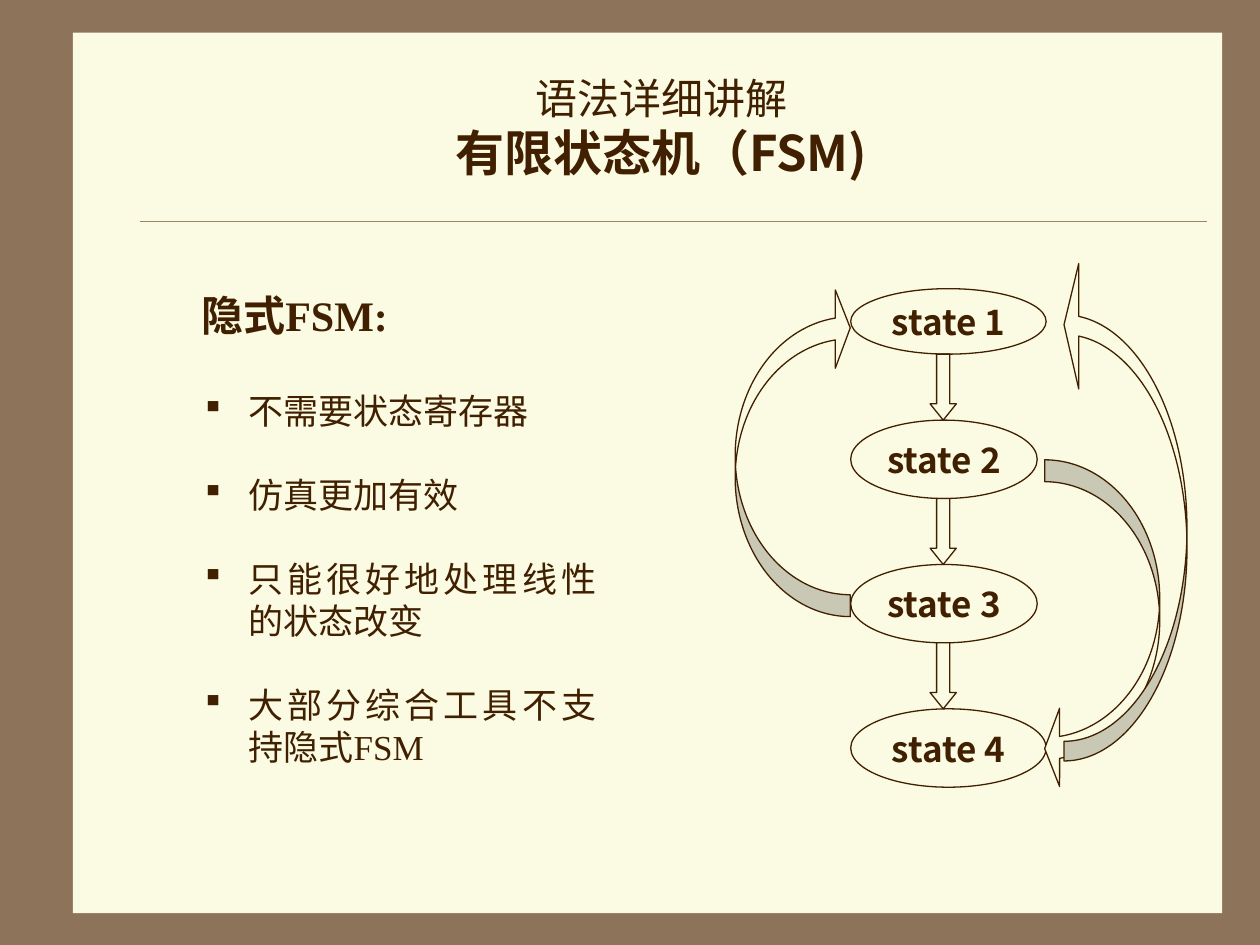
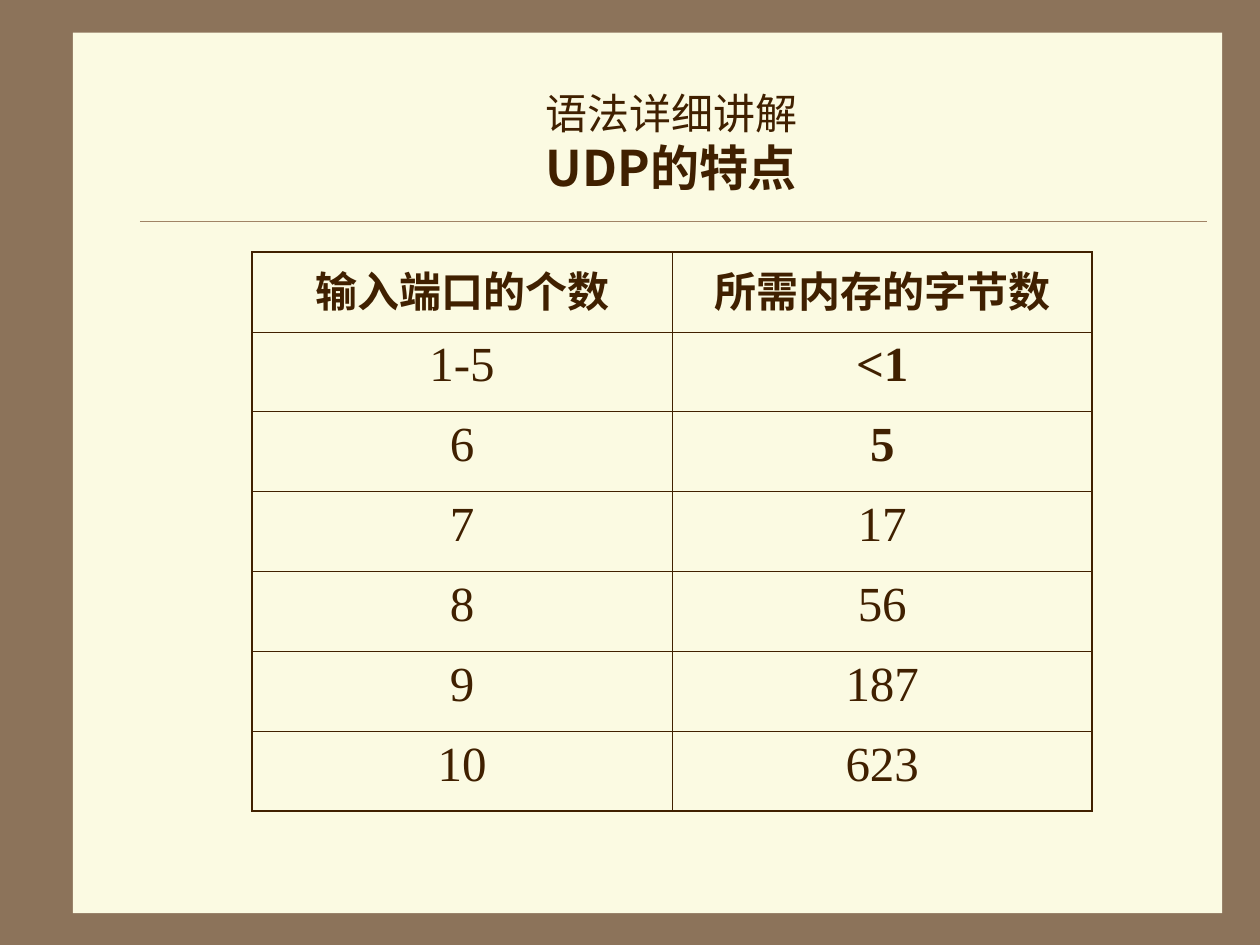
from lxml.etree import SubElement
from pptx import Presentation
from pptx.dml.color import RGBColor
from pptx.enum.shapes import MSO_CONNECTOR as Connector, MSO_SHAPE as Shape
from pptx.enum.text import MSO_ANCHOR as Anchor, PP_ALIGN as Align
from pptx.oxml.ns import qn
from pptx.util import Cm, Pt


def color(value):
    return RGBColor.from_string(value)


class Deck:
    frame, paper, ink, rule = "8C735A", "FBFAE2", "402000", "A08366"
    sans, serif = "Noto Sans CJK SC", "Times New Roman"

    def __init__(self):
        self.prs = Presentation()
        self.prs.slide_width, self.prs.slide_height = Cm(25.4), Cm(19.05)
        self.slide = None

    def new_slide(self):
        self.slide = self.prs.slides.add_slide(self.prs.slide_layouts[6])
        background = self.slide.background.fill
        background.solid()
        background.fore_color.rgb = color(self.frame)
        self.shape(Shape.RECTANGLE, 1.47, 0.66, 23.17, 17.75, outlined=False)
        divider = self.slide.shapes.add_connector(
            Connector.STRAIGHT, Cm(2.82), Cm(4.45), Cm(24.33), Cm(4.45))
        divider.line.color.rgb = color(self.rule)
        divider.line.width = Pt(0.25)
        SubElement(divider._element.spPr, qn("a:effectLst"))

    def fill(self, shape):
        shape.fill.solid()
        shape.fill.fore_color.rgb = color(self.paper)

    def style(self, font, name, size, bold=False):
        font.name, font.size, font.bold = name, Pt(size), bold
        font.color.rgb = color(self.ink)

    def shape(self, kind, left, top, width, height, adjustments=(), rotation=0, outlined=True):
        shape = self.slide.shapes.add_shape(kind, Cm(left), Cm(top), Cm(width), Cm(height))
        shape.shadow.inherit = False
        shape.rotation = rotation
        for index, value in enumerate(adjustments):
            shape.adjustments[index] = value
        self.fill(shape)
        if outlined:
            shape.line.color.rgb = color(self.ink)
            shape.line.width = Pt(0.75)
        else:
            shape.line.fill.background()
        return shape

    def state(self, label, left, top, width, height):
        oval = self.shape(Shape.OVAL, left, top, width, height)
        oval.text_frame.word_wrap = False
        oval.text_frame.vertical_anchor = Anchor.MIDDLE
        paragraph = oval.text_frame.paragraphs[0]
        paragraph.text = label
        paragraph.alignment = Align.CENTER
        self.style(paragraph.runs[0].font, self.sans, 20, True)

    def text_box(self, left, top, width, height):
        box = self.slide.shapes.add_textbox(Cm(left), Cm(top), Cm(width), Cm(height))
        self.fill(box)
        box.text_frame.word_wrap = True
        return box.text_frame

    def title(self, topic, left, top, width, height):
        frame = self.text_box(left, top, width, height)
        frame.vertical_anchor = Anchor.MIDDLE
        paragraph = frame.paragraphs[0]
        paragraph.text = f"语法详细讲解\v{topic}"
        paragraph.alignment = Align.CENTER
        section, subject = paragraph.runs
        self.style(section.font, self.sans, 24)
        self.style(subject.font, self.sans, 28, True)

    def bullet_list(self, heading, points, left, top, width, height):
        frame = self.text_box(left, top, width, height)
        frame.text = "\n".join([heading, *points])
        for index, paragraph in enumerate(frame.paragraphs):
            paragraph.alignment = Align.JUSTIFY
            if index:
                paragraph.space_before = Pt(28 if index == 1 else 24)
                self.bullet(paragraph)
            self.style(paragraph.runs[0].font, self.serif, 20 if index else 24, not index)

    def bullet(self, paragraph):
        props = paragraph._p.get_or_add_pPr()
        props.set("marL", str(Cm(0.95)))
        props.set("indent", str(-Cm(0.95)))
        tint = SubElement(props, qn("a:buClr"))
        SubElement(tint, qn("a:srgbClr"), val=self.ink)
        SubElement(props, qn("a:buSzPct"), val="90000")
        SubElement(props, qn("a:buChar"), char="▪")

    def table(self, rows, bold_cells, left, top, column_width, row_height):
        row_count, column_count = len(rows), len(rows[0])
        table = self.slide.shapes.add_table(
            row_count, column_count, Cm(left), Cm(top),
            Cm(column_width * column_count), Cm(row_height * row_count)).table
        table.horz_banding = table.first_row = False
        for row in table.rows:
            row.height = Cm(row_height)
        for r, values in enumerate(rows):
            for c, value in enumerate(values):
                cell = table.cell(r, c)
                paragraph = cell.text_frame.paragraphs[0]
                paragraph.text = value
                paragraph.alignment = Align.CENTER
                self.style(paragraph.runs[0].font, self.serif, 28 if r else 24,
                           r == 0 or value in bold_cells)
                self.borders(cell, lnL=c == 0, lnR=c == column_count - 1,
                             lnT=r == 0, lnB=r == row_count - 1)
                cell.fill.background()

    def borders(self, cell, **outer_sides):
        props = cell._tc.get_or_add_tcPr()
        for side, outer in outer_sides.items():
            border = SubElement(props, qn(f"a:{side}"), w=str(Pt(1.08 if outer else 0.45)))
            solid = SubElement(border, qn("a:solidFill"))
            SubElement(solid, qn("a:srgbClr"), val=self.ink)


def implicit_fsm(deck):
    deck.new_slide()
    deck.title("有限状态机（FSM)", 2.54, 1.07, 21.59, 2.97)
    points = ["不需要状态寄存器", "仿真更加有效", "只能很好地处理线性的状态改变",
              "大部分综合工具不支持隐式FSM"]
    deck.bullet_list("隐式FSM:", points, 3.81, 5.72, 8.46, 11)

    state_sizes = [(3.94, 1.32), (3.76, 1.58), (3.76, 1.58), (3.94, 1.58)]
    step = 1.33
    top = 5.82
    step_tops = []
    for number, (width, height) in enumerate(state_sizes, 1):
        deck.state(f"state {number}", 17.15, top, width, height)
        step_tops.append(top + height)
        top += height + step

    jump = (0.19, 0.68, 0.13)
    deck.shape(Shape.CURVED_LEFT_ARROW, 21.06, 9.27, 2.32, 6.61, jump)
    deck.shape(Shape.CURVED_LEFT_ARROW, 14.82, 5.82, 2.32, 6.61, jump, 180)
    deck.shape(Shape.CURVED_UP_ARROW, 17.66, 9.07, 10.06, 2.48, (0.16, 1.02, 0.12), 270)
    for step_top in step_tops[:-1]:
        deck.shape(Shape.DOWN_ARROW, 18.75, step_top, 0.53, step, (0.5, 0.62))


def udp_features(deck):
    deck.new_slide()
    deck.title("UDP的特点", 2.74, 1.27, 21.59, 3.18)
    memory = [("输入端口的个数", "所需内存的字节数"), ("1-5", "<1"), ("6", "5"),
              ("7", "17"), ("8", "56"), ("9", "187"), ("10", "623")]
    deck.table(memory, {"<1", "5"}, 5.08, 5.08, 8.47, 1.61)


def main():
    deck = Deck()
    implicit_fsm(deck)
    udp_features(deck)
    deck.prs.save("out.pptx")


if __name__ == "__main__":
    main()
